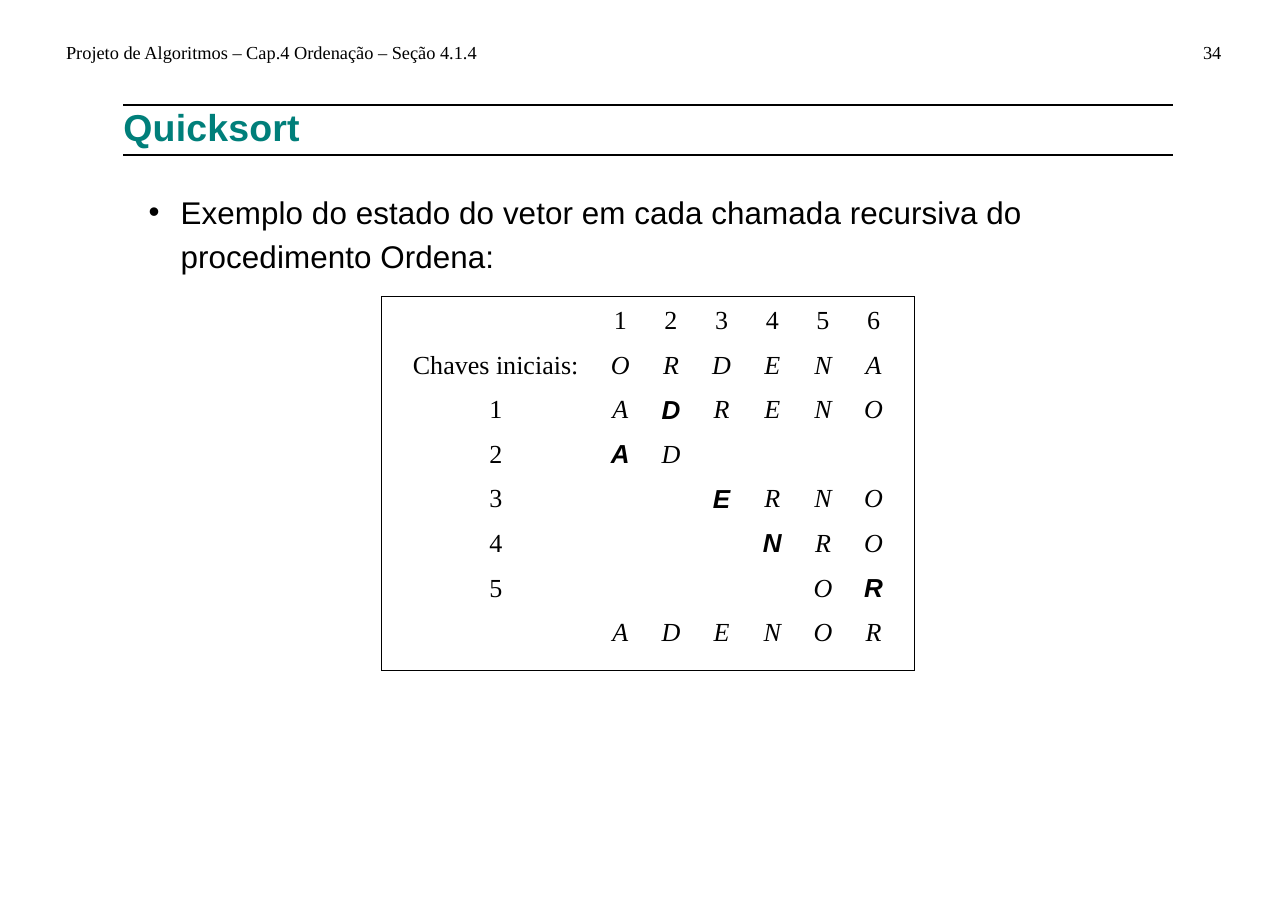
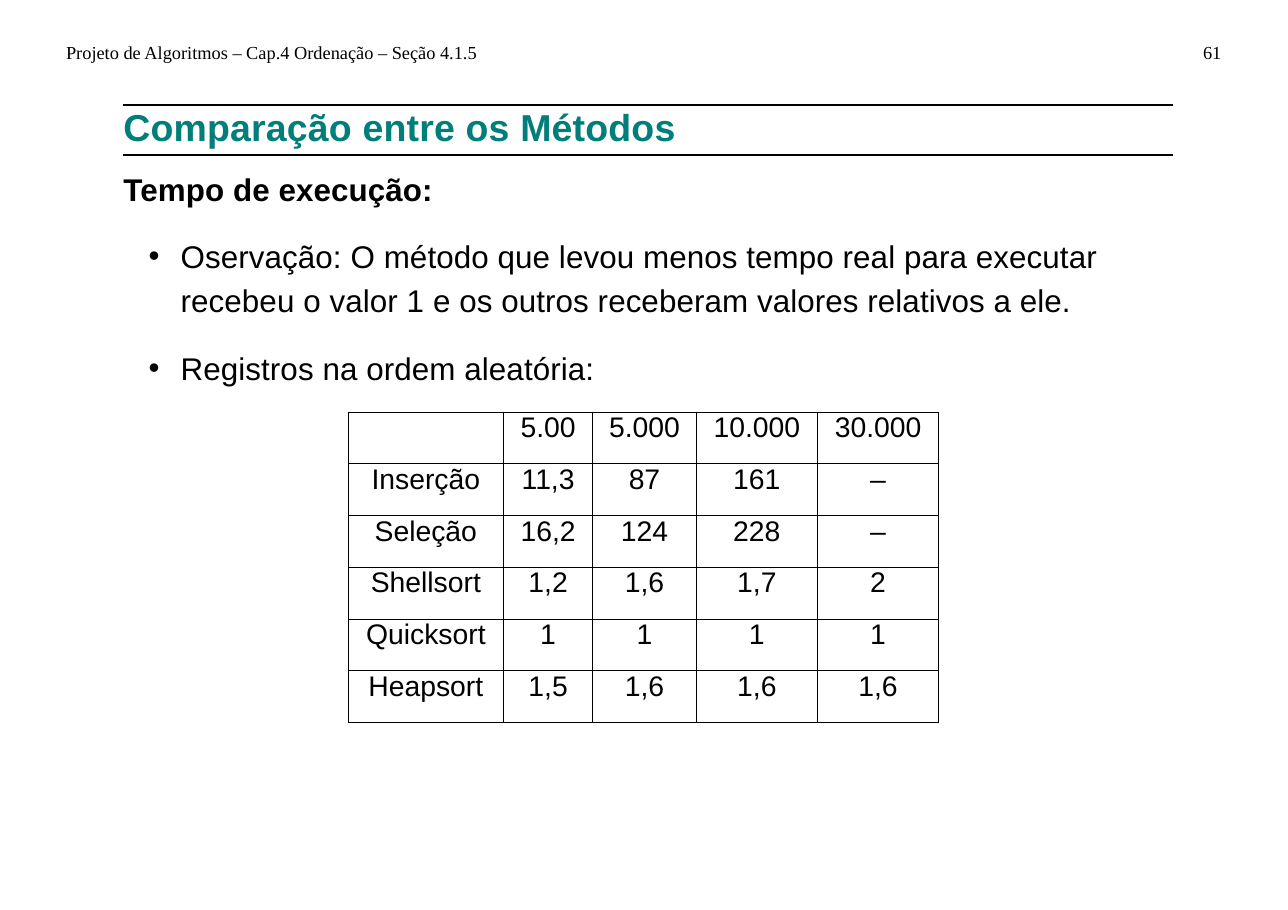
"""Builds two lecture slides about sorting algorithms."""
from dataclasses import dataclass

from lxml import etree
from pptx import Presentation
from pptx import util as u
from pptx.dml.color import RGBColor
from pptx.enum import shapes, text
from pptx.oxml.ns import qn


@dataclass(frozen=True)
class Theme:
    ink: RGBColor = RGBColor(0x00, 0x00, 0x00)
    accent: RGBColor = RGBColor(0x00, 0x7F, 0x7A)
    sans: str = "Arial"
    serif: str = "Times New Roman"
    header_size: float = 12
    title_size: float = 24.5
    body_size: float = 20.5
    keys_size: float = 17
    times_size: float = 18.5
    title_spacing: int = 14
    body_spacing: int = 6
    rule: float = 1.4
    hairline: float = 0.69


T = Theme()


def write(tf, content, size, font=T.sans, color=T.ink, bold=False, italic=False, spacing=0,
          align=text.PP_ALIGN.LEFT, anchor=text.MSO_ANCHOR.TOP, new=False):
    tf.margin_left = tf.margin_right = tf.margin_top = tf.margin_bottom = 0
    tf.word_wrap, tf.auto_size = True, text.MSO_AUTO_SIZE.NONE
    tf.vertical_anchor = anchor
    p = tf.add_paragraph() if new else tf.paragraphs[0]
    p.alignment = align
    p.space_before = u.Pt(0)
    r = p.add_run()
    r.text = content
    r.font.name, r.font.size = font, u.Pt(size)
    r.font.bold, r.font.italic = bold, italic
    r.font.color.rgb = color
    if spacing:
        r._r.get_or_add_rPr().set("spc", str(spacing))
    return p


def add_grid(s, rows, left, top, widths, row_height, style, border=None):
    height = u.Inches(row_height)
    tbl = s.shapes.add_table(len(rows), len(widths), u.Inches(left), u.Inches(top),
                             u.Inches(sum(widths)), height * len(rows)).table
    tbl.first_row = tbl.horz_banding = False
    for col, width in zip(tbl.columns, widths):
        col.width = u.Inches(width)
    for i, row in enumerate(rows):
        tbl.rows[i].height = height
        for j, value in enumerate(row):
            cell = tbl.cell(i, j)
            cell.margin_left = cell.margin_right = cell.margin_top = cell.margin_bottom = 0
            if border:
                for side in ("a:lnL", "a:lnR", "a:lnT", "a:lnB"):
                    ln = etree.SubElement(cell._tc.get_or_add_tcPr(), qn(side), w=str(u.Pt(border)))
                    fill = etree.SubElement(ln, qn("a:solidFill"))
                    etree.SubElement(fill, qn("a:srgbClr"), val=str(T.ink))
            cell.fill.background()
            if value:
                write(cell.text_frame, value, align=text.PP_ALIGN.CENTER, **style(i, j))


prs = Presentation()
prs.slide_width, prs.slide_height = u.Inches(11.69), u.Inches(8.26)

rules = [(1.12, y, 10.65, y, T.rule) for y in (0.95, 1.41)]
left, top, right, bottom = 3.46, 2.69, 8.3, 6.09
frame = [(left, top, right, top, T.hairline), (left, top, left, bottom, T.hairline),
         (right, top, right, bottom, T.hairline), (left, bottom, right, bottom, T.hairline)]

pages = [
    dict(section="4.1.4", number="34", title="Quicksort", top=1.69, height=0.85, heading=None,
         bullets=["Exemplo do estado do vetor em cada chamada recursiva do procedimento Ordena:"],
         lines=rules + frame),
    dict(section="4.1.5", number="61", title="Comparação entre os Métodos", top=1.54, height=2.1,
         heading="Tempo de execução:",
         bullets=["Oservação: O método que levou menos tempo real para executar "
                  "recebeu o valor 1 e os outros receberam valores relativos a ele.",
                  "Registros na ordem aleatória:"],
         lines=rules),
]

for page in pages:
    s = prs.slides.add_slide(prs.slide_layouts[1])
    header = f"Projeto de Algoritmos – Cap.4 Ordenação – Seção {page['section']}"
    for content, x, width in ((header, 0.6, 4), (page["number"], 10.92, 0.3)):
        sp = s.shapes.add_textbox(u.Inches(x), u.Inches(0.37), u.Inches(width), u.Inches(0.21))
        write(sp.text_frame, content, T.header_size, font=T.serif)
    for x1, y1, x2, y2, weight in page["lines"]:
        line = s.shapes.add_connector(shapes.MSO_CONNECTOR.STRAIGHT, u.Inches(x1), u.Inches(y1),
                                      u.Inches(x2), u.Inches(y2))
        line.line.color.rgb, line.line.width = T.ink, u.Pt(weight)
        etree.SubElement(line._element.spPr, qn("a:effectLst"))

    title, body = s.shapes.title, s.placeholders[1]
    title.left, title.top = u.Inches(1.12), u.Inches(0.92)
    title.width, title.height = u.Inches(9.53), u.Inches(0.46)
    write(title.text_frame, page["title"], T.title_size, color=T.accent, bold=True,
          spacing=T.title_spacing, anchor=text.MSO_ANCHOR.MIDDLE)

    body.left, body.top = u.Inches(1.12), u.Inches(page["top"])
    body.width, body.height = u.Inches(9.2), u.Inches(page["height"])
    if page["heading"]:
        p = write(body.text_frame, page["heading"], T.body_size, bold=True, spacing=T.body_spacing)
        pPr = p._p.get_or_add_pPr()
        pPr.set("marL", "0")
        pPr.set("indent", "0")
        etree.SubElement(pPr, qn("a:buNone"))
    for i, content in enumerate(page["bullets"]):
        follows = bool(page["heading"]) or i > 0
        p = write(body.text_frame, content, T.body_size, spacing=T.body_spacing, new=follows)
        p.line_spacing = 1.18
        if follows:
            p.space_before = u.Pt(15)
        pPr = p._p.get_or_add_pPr()
        pPr.set("marL", str(u.Inches(0.52)))
        pPr.set("indent", str(u.Inches(-0.29)))
        etree.SubElement(pPr, qn("a:buChar"), char="•")

quicksort, comparison = prs.slides

calls = [("", "123456"), ("Chaves iniciais:", "ORDENA"), ("1", "ADRENO"), ("2", "AD    "),
         ("3", "  ERNO"), ("4", "   NRO"), ("5", "    OR"), ("", "ADENOR")]
pivots = {(2, 2), (3, 1), (4, 3), (5, 4), (6, 6)}


def key_style(i, j):
    pivot = (i, j) in pivots
    return dict(size=T.keys_size, font=T.sans if pivot else T.serif, bold=pivot,
                italic=i > 0 and j > 0)


add_grid(quicksort, [[label, *(key.strip() for key in keys)] for label, keys in calls],
         3.6, 2.78, [1.8] + [0.46] * 6, 3.24 / len(calls), key_style)

times = [
    ["", "5.00", "5.000", "10.000", "30.000"],
    ["Inserção", "11,3", "87", "161", "–"],
    ["Seleção", "16,2", "124", "228", "–"],
    ["Shellsort", "1,2", "1,6", "1,7", "2"],
    ["Quicksort", "1", "1", "1", "1"],
    ["Heapsort", "1,5", "1,6", "1,6", "1,6"],
]
add_grid(comparison, times, 3.16, 3.74, [1.41, 0.81, 0.94, 1.1, 1.1], 0.47,
         lambda i, j: dict(size=T.times_size), border=T.hairline)

prs.save("out.pptx")
